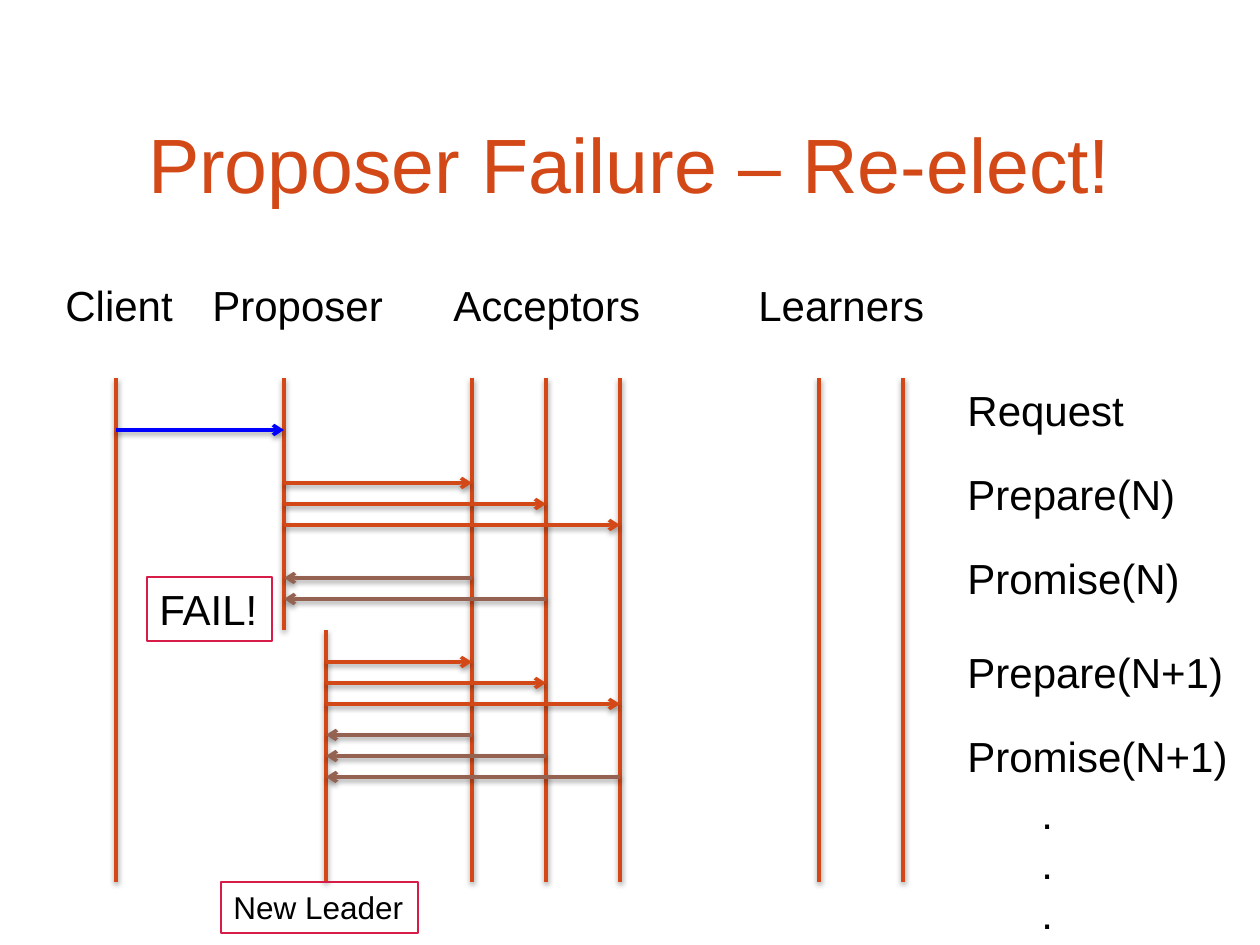
from lxml.etree import SubElement
from pptx import Presentation
from pptx.dml.color import RGBColor
from pptx.enum.shapes import MSO_CONNECTOR, MSO_SHAPE
from pptx.enum.text import MSO_ANCHOR, MSO_AUTO_SIZE, PP_ALIGN
from pptx.oxml.ns import qn
from pptx.util import Pt

PX = 914400 / 126
ORANGE = RGBColor(0xD3, 0x48, 0x17)
BROWN = RGBColor(0x95, 0x62, 0x51)
BLUE = RGBColor(0x00, 0x00, 0xFF)
CRIMSON = RGBColor(0xD6, 0x1C, 0x47)
BLACK = RGBColor(0x00, 0x00, 0x00)

CLIENT, PROPOSER, NEW_LEADER = 0, 168, 210
ACCEPTORS = [356, 430, 504]
LEARNERS = [703, 787]
LIFE_TOP, FAIL_AT, LIFE_END = 0, 252, 504
MESSAGE_GAP = 21


def px(n):
    """Turn pixels into EMU."""
    return round(n * PX)


def fill_text(tf, lines, size=24, color=BLACK, wrap=False):
    """Write one paragraph with one run for each line."""
    tf.word_wrap = wrap
    tf.auto_size = MSO_AUTO_SIZE.SHAPE_TO_FIT_TEXT
    for i, line in enumerate(lines):
        p = tf.add_paragraph() if i else tf.paragraphs[0]
        p.alignment = PP_ALIGN.LEFT
        r = p.add_run()
        r.text = line
        r.font.name = "Arial"
        r.font.size = Pt(size)
        r.font.color.rgb = color


def add_text(s, x, y, w, h, lines, **style):
    """Add a text box and return its text frame."""
    tf = s.shapes.add_textbox(px(x), px(y), px(w), px(h)).text_frame
    fill_text(tf, lines, **style)
    return tf


def add_line(s, x1, y1, x2, y2, color, arrow=False):
    """Add a shadowed line, with an arrowhead at its end if asked."""
    line = s.shapes.add_connector(
        MSO_CONNECTOR.STRAIGHT, px(x1), px(y1), px(x2), px(y2))
    line.line.color.rgb = color
    line.line.width = Pt(2)
    if arrow:
        SubElement(line.line._get_or_add_ln(), qn("a:tailEnd"), type="arrow")
    effects = SubElement(line._element.spPr, qn("a:effectLst"))
    shadow = SubElement(effects, qn("a:outerShdw"), blurRad=str(Pt(3.1)),
                        dist=str(Pt(1.6)), dir="5400000", rotWithShape="0")
    black = SubElement(shadow, qn("a:srgbClr"), val="000000")
    SubElement(black, qn("a:alpha"), val="38000")


def add_title(s, x, y, w, h):
    """Place the centred slide title."""
    tf = add_text(s, x, y, w, h, ["Proposer Failure – Re-elect!"],
                  size=44, color=ORANGE, wrap=True)
    tf.auto_size = MSO_AUTO_SIZE.NONE
    tf.vertical_anchor = MSO_ANCHOR.MIDDLE
    tf.paragraphs[0].alignment = PP_ALIGN.CENTER


def add_roles(s, x, y, h):
    """Place the role names above the lifelines."""
    for dx, w, role in [(0, 135, "Client"), (147, 198, "Proposer"),
                        (388, 215, "Acceptors"), (693, 193, "Learners")]:
        add_text(s, x + dx, y, w, h, [role])


def add_lifelines(s, x, y):
    """Draw one vertical line for each participant."""
    spans = [(CLIENT, LIFE_TOP, LIFE_END), (PROPOSER, LIFE_TOP, FAIL_AT),
             (NEW_LEADER, FAIL_AT, LIFE_END)]
    spans += [(dx, LIFE_TOP, LIFE_END) for dx in ACCEPTORS + LEARNERS]
    for dx, top, end in spans:
        add_line(s, x + dx, y + top, x + dx, y + end, ORANGE)


def add_messages(s, x, y):
    """Draw the request and the two prepare and promise rounds."""
    add_line(s, x + CLIENT, y + 52, x + PROPOSER, y + 52, BLUE, arrow=True)
    rounds = [(PROPOSER, 105, 200, 2), (NEW_LEADER, 284, 357, 3)]
    for leader, prepare, promise, replies in rounds:
        for i, acceptor in enumerate(ACCEPTORS):
            row = y + prepare + i * MESSAGE_GAP
            add_line(s, x + leader, row, x + acceptor, row, ORANGE, arrow=True)
        for i, acceptor in enumerate(ACCEPTORS[:replies]):
            row = y + promise + i * MESSAGE_GAP
            add_line(s, x + acceptor, row, x + leader, row, BROWN, arrow=True)


def add_phases(s, x, y, h):
    """Place the phase names and the trailing dots on the right."""
    for dy, w, phase in [(0, 184, "Request"), (84, 236, "Prepare(N)"),
                         (168, 239, "Promise(N)"), (262, 284, "Prepare(N+1)"),
                         (346, 289, "Promise(N+1)")]:
        add_text(s, x, y + dy, w, h, [phase])
    add_text(s, x + 74, y + 403, 42, 165, ["."] * 3, wrap=True)


def add_callout(s, x, y, w, h, text, size):
    """Place a framed note."""
    sp = s.shapes.add_shape(MSO_SHAPE.RECTANGLE, px(x), px(y), px(w), px(h))
    sp.shadow.inherit = False
    sp.fill.background()
    sp.line.color.rgb = CRIMSON
    sp.line.width = Pt(0.75)
    fill_text(sp.text_frame, [text], size=size)
    sp.text_frame.vertical_anchor = MSO_ANCHOR.TOP


def main():
    """Build and save the slide."""
    prs = Presentation()
    prs.slide_width, prs.slide_height = px(1260), px(945)
    s = prs.slides.add_slide(prs.slide_layouts[6])
    add_title(s, 63, 84, 1134, 158)
    add_lifelines(s, 116, 378)
    add_roles(s, 53, 273, 63)
    add_messages(s, 116, 378)
    add_phases(s, 955, 378, 63)
    add_callout(s, 147, 577, 125, 64, "FAIL!", 24)
    add_callout(s, 221, 882, 197, 51, "New Leader", 18)
    prs.save("out.pptx")


if __name__ == "__main__":
    main()
